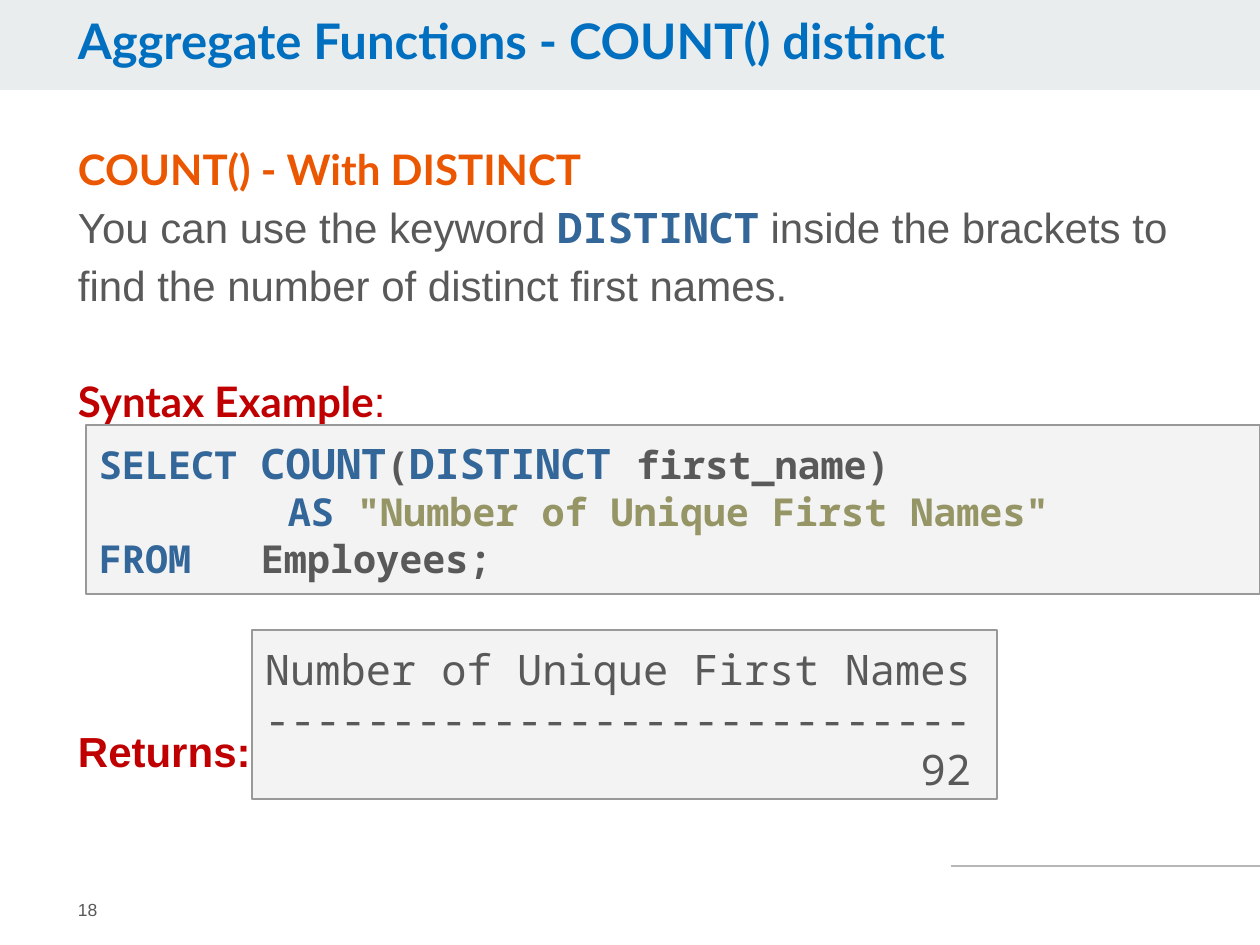
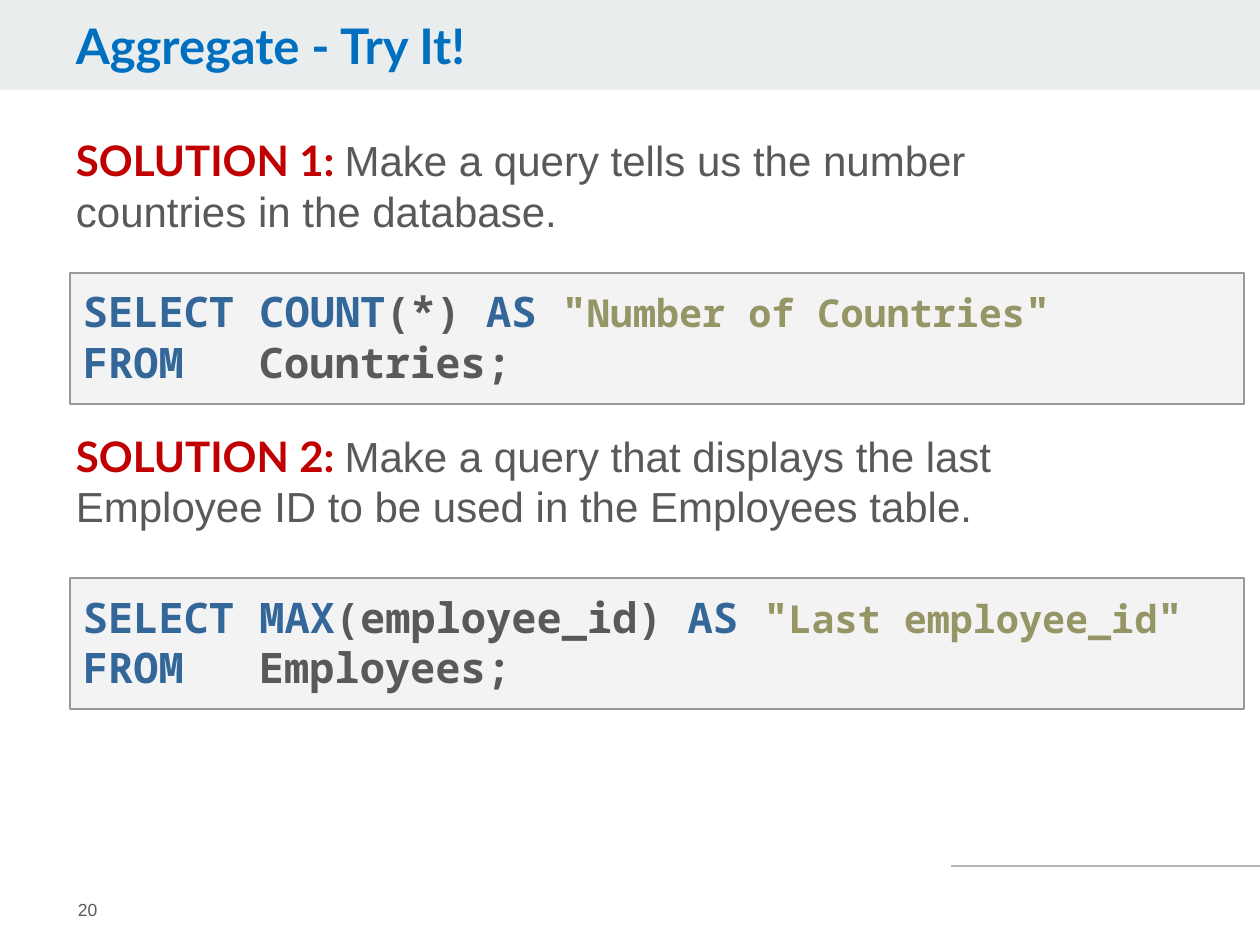
"""Build two slides on SQL aggregate functions."""
from dataclasses import dataclass
from typing import NamedTuple, Optional

from lxml.etree import SubElement
from pptx import Presentation
from pptx.dml.color import RGBColor
from pptx.enum.shapes import MSO_CONNECTOR, MSO_SHAPE
from pptx.enum.text import MSO_ANCHOR as ANCHOR
from pptx.oxml.ns import qn
from pptx.util import Emu, Pt

PX = 914400 / 126
WIDTH, HEIGHT = 1260, 945
LATO, ARIAL, MONO = "Lato", "Arial", "Noto Sans Mono"

WHITE = RGBColor(0xFF, 0xFF, 0xFF)
BAND = RGBColor(0xE9, 0xED, 0xEE)
RULE = RGBColor(0xB7, 0xB7, 0xB7)
PANEL = RGBColor(0xF3, 0xF3, 0xF3)
PANEL_EDGE = RGBColor(0x99, 0x99, 0x99)
BLUE = RGBColor(0x00, 0x6F, 0xBF)
ORANGE = RGBColor(0xEB, 0x56, 0x00)
RED = RGBColor(0xC0, 0x00, 0x00)
GREY = RGBColor(0x59, 0x59, 0x59)
KEYWORD = RGBColor(0x33, 0x66, 0x99)
STRING = RGBColor(0x95, 0x95, 0x66)


class Box(NamedTuple):
    left: int
    top: int
    width: int
    height: int


class Run(NamedTuple):
    text: str
    color: RGBColor = GREY
    font: str = ARIAL
    size: int = 24
    bold: bool = False


@dataclass
class Para:
    runs: list[Run]
    line: float = 1.0
    before: int = 0
    indent: int = 0
    tab: int = 0
    tab_align: str = "l"


@dataclass
class Block:
    box: Box
    paras: list[Para]
    panel: bool = False
    inset: int = 6
    anchor: ANCHOR = ANCHOR.TOP


@dataclass
class Page:
    number: int
    title: str
    title_box: Box
    blocks: list[Block]


def px(n: int) -> Emu:
    """Turn pixels into EMU."""
    return Emu(round(n * PX))


def head(text: str, color: RGBColor = RED) -> Run:
    """Return a bold heading run."""
    return Run(text, color, LATO, 24, True)


def code(text: str, color: RGBColor = GREY, size: int = 24) -> Run:
    """Return a bold code run."""
    return Run(text, color, MONO, size, True)


def from_line(table: str, size: int, tab: int) -> Para:
    """Return the FROM clause with its table name set on a tab stop."""
    return Para([code("FROM", KEYWORD, size), code(f"\t{table};", GREY, size)], tab=tab)


def query(top: int, function: str, argument: str, alias: str, table: str) -> Block:
    """Return a two-line query panel."""
    select = [
        code(f"SELECT {function}", KEYWORD),
        code(f"({argument}) "),
        code("AS ", KEYWORD),
        code('"', STRING),
        code(alias, STRING, 22),
        code('"', STRING),
    ]
    return Block(Box(70, top, 1174, 131), [Para(select), from_line(table, 24, 176)], True, 13)


def add_rect(slide, box: Box, fill: RGBColor, edge: Optional[RGBColor] = None):
    """Draw a flat rectangle."""
    sp = slide.shapes.add_shape(MSO_SHAPE.RECTANGLE, *map(px, box))
    sp.shadow.inherit = False
    sp.fill.solid()
    sp.fill.fore_color.rgb = fill
    if edge is None:
        sp.line.fill.background()
    else:
        sp.line.color.rgb = edge
        sp.line.width = Pt(0.75)
    return sp


def add_para(p, para: Para) -> None:
    """Write one paragraph run by run."""
    p.line_spacing = para.line
    p.space_before = Pt(para.before)
    pPr = p._p.get_or_add_pPr()
    pPr.set("algn", "l")
    if para.indent:
        pPr.set("indent", str(px(para.indent)))
    if para.tab:
        tabs = SubElement(pPr, qn("a:tabLst"))
        SubElement(tabs, qn("a:tab"), pos=str(px(para.tab)), algn=para.tab_align)
    for run in para.runs:
        r = p.add_run()
        r.text = run.text
        r.font.name = run.font
        r.font.size = Pt(run.size)
        r.font.bold = run.bold
        r.font.color.rgb = run.color


def add_block(slide, block: Block) -> None:
    """Draw a text box or a filled panel with its text."""
    if block.panel:
        sp = add_rect(slide, block.box, PANEL, PANEL_EDGE)
    else:
        sp = slide.shapes.add_textbox(*map(px, block.box))
    tf = sp.text_frame
    tf.word_wrap = True
    tf.vertical_anchor = block.anchor
    tf.margin_left = tf.margin_right = px(13)
    tf.margin_top = tf.margin_bottom = px(block.inset)
    for i, para in enumerate(block.paras):
        add_para(tf.add_paragraph() if i else tf.paragraphs[0], para)


def add_page(prs, page: Page) -> None:
    """Draw the shared frame, the title, the page number and the blocks."""
    slide = prs.slides.add_slide(prs.slide_layouts[6])
    slide.background.fill.solid()
    slide.background.fill.fore_color.rgb = WHITE
    rule = slide.shapes.add_connector(
        MSO_CONNECTOR.STRAIGHT, px(951), px(866), px(WIDTH), px(866))
    rule.line.color.rgb = RULE
    rule.line.width = Pt(0.75)
    SubElement(rule._element.spPr, qn("a:effectLst"))
    add_rect(slide, Box(0, 0, WIDTH, 90), BAND)
    title = Para([Run(page.title, BLUE, LATO, 28, True)], line=0.9)
    number = Para([Run(str(page.number), size=10)])
    add_block(slide, Block(page.title_box, [title]))
    add_block(slide, Block(Box(65, 873, 155, 72), [number], inset=13, anchor=ANCHOR.MIDDLE))
    for block in page.blocks:
        add_block(slide, block)


DISTINCT_PAGE = Page(18, "Aggregate Functions - COUNT() distinct", Box(65, 11, 993, 69), [
    Block(Box(65, 130, 1162, 649), [
        Para([head("COUNT() - With DISTINCT", ORANGE)], 1.15),
        Para([
            Run("You can use the keyword "),
            code("DISTINCT", KEYWORD),
            Run(" inside the brackets to find the number of distinct first names."),
        ], 1.15),
        Para([head("Syntax Example"), Run(":", RED)], 1.15, before=33),
        Para([Run("Returns:", RED, bold=True)], 1.15, before=167),
    ]),
    Block(Box(86, 425, 1174, 169), [
        Para([
            code("SELECT ", KEYWORD, 22),
            code("COUNT", KEYWORD),
            code("(", size=22),
            code("DISTINCT ", KEYWORD),
            code("first_name)", size=22),
        ]),
        Para([
            code("AS ", KEYWORD, 22),
            code('"Number of Unique First Names"', STRING, 22),
        ], indent=189),
        from_line("Employees", 22, 162),
    ], True, 13),
    Block(Box(252, 630, 745, 169), [
        Para([Run("Number of Unique First Names", font=MONO)]),
        Para([Run("-" * 28, font=MONO)]),
        Para([Run("\t92", font=MONO)], tab=706, tab_align="r"),
    ], True, 13),
])

TRY_IT_PAGE = Page(20, "Aggregate - Try It!", Box(63, 16, 993, 69), [
    Block(Box(63, 129, 993, 649), [
        Para([
            head("SOLUTION 1: "),
            Run("Make a query tells us the number countries in the database."),
        ]),
        Para([
            head("SOLUTION 2: "),
            Run("Make a query that displays the last Employee ID to be used "
                "in the Employees table."),
        ], before=111),
    ]),
    query(273, "COUNT", "*", "Number of Countries", "Countries"),
    query(578, "MAX", "employee_id", "Last employee_id", "Employees"),
])


def main() -> None:
    """Build and save the presentation."""
    prs = Presentation()
    prs.slide_width, prs.slide_height = px(WIDTH), px(HEIGHT)
    for page in (DISTINCT_PAGE, TRY_IT_PAGE):
        add_page(prs, page)
    prs.save("out.pptx")


if __name__ == "__main__":
    main()
